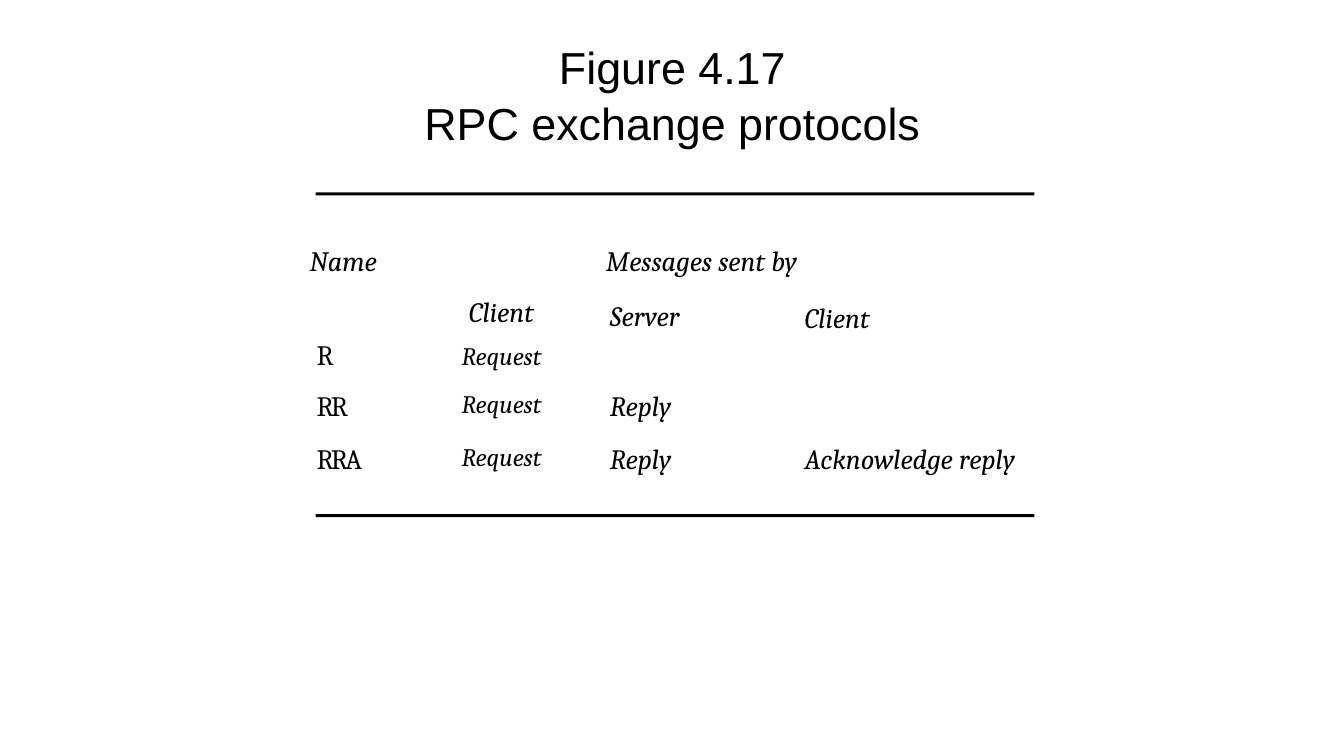
from pptx import Presentation
from pptx.dml.color import RGBColor
from pptx.enum import shapes, text
from pptx.util import Inches, Pt

BLACK = RGBColor(0, 0, 0)
WHITE = RGBColor(255, 255, 255)


def write(slide, words, x, y, w, h, size=20, font="Cambria", italic=True,
          align=text.PP_ALIGN.LEFT, anchor=text.MSO_ANCHOR.TOP,
          wrap=True, lead=1.0, track=0):
    box = slide.shapes.add_textbox(Inches(x), Inches(y), Inches(w), Inches(h))
    frame = box.text_frame
    frame.margin_left = frame.margin_right = 0
    frame.margin_top = frame.margin_bottom = 0
    frame.word_wrap = wrap
    frame.vertical_anchor = anchor
    para = frame.paragraphs[0]
    para.text = words
    para.alignment = align
    para.line_spacing = lead
    for run in para.runs:
        run.font.size = Pt(size)
        run.font.name = font
        run.font.italic = italic
        run.font.color.rgb = BLACK
        if track:
            run.font._element.set("spc", str(track))


def title(slide, x, y, w, h):
    write(slide, "Figure 4.17\vRPC exchange protocols", x, y, w, h,
          size=32, font="Arial", italic=False, lead=1.05,
          align=text.PP_ALIGN.CENTER, anchor=text.MSO_ANCHOR.MIDDLE)


def rule(slide, x, y, w):
    bar = slide.shapes.add_shape(shapes.MSO_SHAPE.RECTANGLE, Inches(x),
                                 Inches(y), Inches(w), Inches(0.03))
    bar.shadow.inherit = False
    bar.fill.solid()
    bar.fill.fore_color.rgb = BLACK
    bar.line.fill.background()


def heads(slide, x, y):
    for words, dx, dy, w in [
        ("Name", -0.06, 0, 0.86),
        ("Messages sent by", 2.88, 0, 2.3),
        ("Client", 1.52, 0.5, 0.86),
        ("Server", 2.92, 0.54, 0.86),
        ("Client", 4.85, 0.56, 0.86),
    ]:
        write(slide, words, x + dx, y + dy, w, 0.33)


def row(slide, x, y, name, ask, *rest, drop=0):
    write(slide, name, x + 0.01, y, 0.5, 0.34, italic=False, wrap=False,
          track=-200)
    write(slide, ask, x + 1.45, y + drop, 0.86, 0.3, size=18)
    for words, dx, w in zip(rest, (2.92, 4.85), (0.72, 2.13)):
        write(slide, words, x + dx, y, w, 0.34, wrap=False)


def protocols(slide, x, y, w, h):
    rule(slide, x, y, w)
    heads(slide, x, y + 0.51)
    row(slide, x, y + 1.44, "R", "Request", drop=0.03)
    row(slide, x, y + 1.94, "RR", "Request", "Reply")
    row(slide, x, y + 2.47, "RRA", "Request", "Reply", "Acknowledge reply")
    rule(slide, x, y + h - 0.03, w)


def main():
    deck = Presentation()
    deck.slide_width = Inches(13.33)
    deck.slide_height = Inches(7.5)
    slide = deck.slides.add_slide(deck.slide_layouts[6])
    slide.background.fill.solid()
    slide.background.fill.fore_color.rgb = WHITE
    title(slide, 0.67, 0.3, 12, 1.25)
    protocols(slide, 3.13, 1.91, 7.13, 3.22)
    deck.save("out.pptx")


if __name__ == "__main__":
    main()
